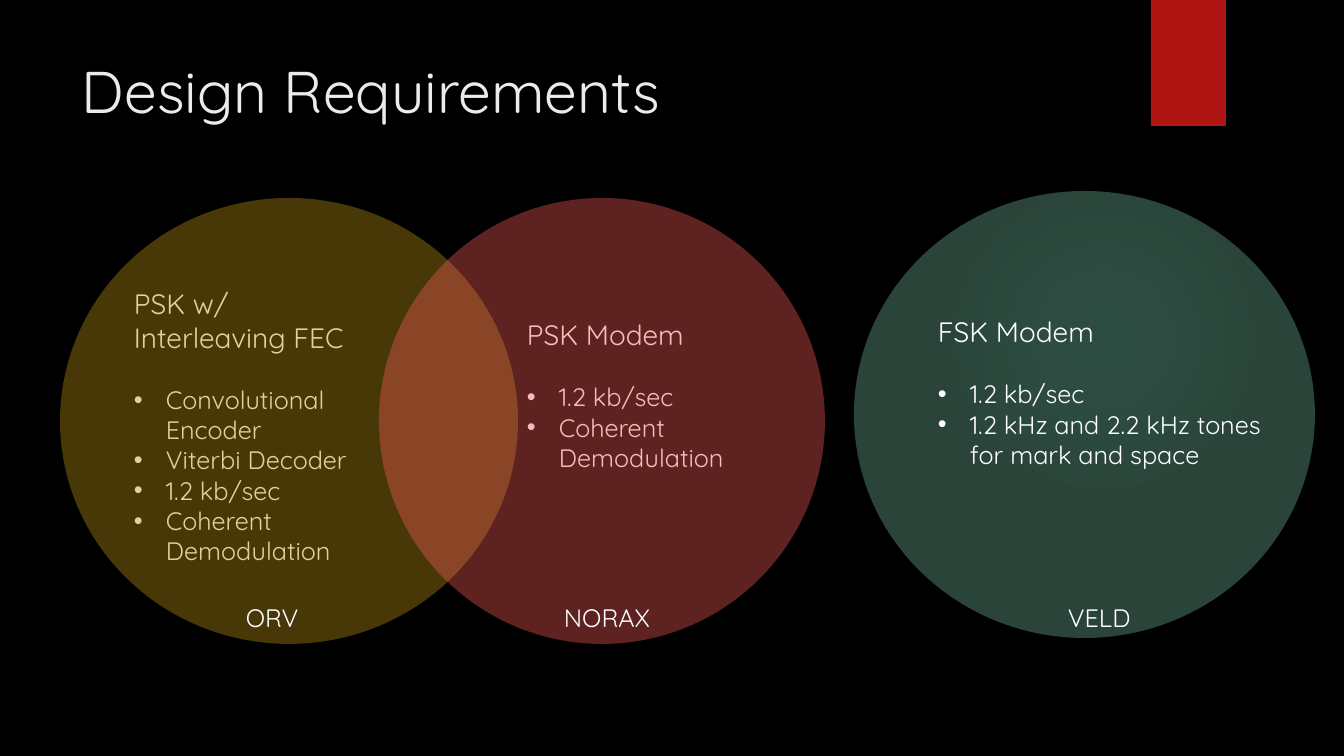
from lxml import etree
from pptx import Presentation, util as u
from pptx.dml.color import RGBColor
from pptx.enum import shapes, text
from pptx.oxml.ns import qn

COLOURS = {
    "black": "000000",
    "white": "FFFFFF",
    "title": "EBEBEB",
    "red": "B01513",
    "glow": "50B9C1",
    "gold": "B68E15",
    "rose": "ED5654",
    "green": "6AAC90",
}
FONT = "Quicksand"
PX = 914400 / 100.8
INDENT = 32


def emu(px):
    return u.Emu(round(px * PX))


def rgb(name):
    return RGBColor.from_string(COLOURS[name])


def add_alpha(colour, percent):
    etree.SubElement(colour, qn("a:alpha")).set("val", str(percent * 1000))


def write(para, words, size=18, colour="white", bullet=False, after=0):
    para.alignment = text.PP_ALIGN.LEFT
    para.space_after = u.Pt(after)
    span = para.add_run()
    span.text = words
    span.font.name = FONT
    span.font.size = u.Pt(size)
    span.font.color.rgb = rgb(colour)
    if bullet:
        props = para._p.get_or_add_pPr()
        props.set("marL", str(emu(INDENT)))
        props.set("indent", str(-emu(INDENT)))
        etree.SubElement(props, qn("a:buFont")).set("typeface", "Arial")
        etree.SubElement(props, qn("a:buChar")).set("char", "•")


class Page:
    def __init__(self, deck):
        self.slide = deck.slides.add_slide(deck.slide_layouts[6])
        fill = self.slide.background.fill
        fill.solid()
        fill.fore_color.rgb = rgb("black")

    def shape(self, kind, area, colour, opacity=100):
        shape = self.slide.shapes.add_shape(kind, *map(emu, area))
        shape.shadow.inherit = False
        shape.line.fill.background()
        shape.fill.solid()
        shape.fill.fore_color.rgb = rgb(colour)
        if opacity < 100:
            add_alpha(shape._element.spPr.find(".//" + qn("a:srgbClr")), opacity)
        return shape

    def circle(self, area, colour, opacity=40):
        return self.shape(shapes.MSO_SHAPE.OVAL, area, colour, opacity)

    def glow(self, area, stops):
        """Add a circle that fades outwards; stops are (position, opacity) in percent."""
        props = self.circle(area, "glow")._element.spPr
        gradient = etree.Element(qn("a:gradFill"))
        stop_list = etree.SubElement(gradient, qn("a:gsLst"))
        for position, opacity in stops:
            stop = etree.SubElement(stop_list, qn("a:gs"), pos=str(position * 1000))
            colour = etree.SubElement(stop, qn("a:srgbClr"), val=COLOURS["glow"])
            add_alpha(colour, opacity)
        route = etree.SubElement(gradient, qn("a:path"), {"path": "circle"})
        centre = dict.fromkeys("ltrb", "50000")
        etree.SubElement(route, qn("a:fillToRect"), centre)
        props.replace(props.find(qn("a:solidFill")), gradient)

    def text(self, area, words, **style):
        box = self.slide.shapes.add_textbox(*map(emu, area))
        box.text_frame.word_wrap = True
        write(box.text_frame.paragraphs[0], words, **style)
        return box.text_frame

    def modem(self, area, heading, items):
        frame = self.text(area, heading, size=20, after=21.5)
        for item in items:
            write(frame.add_paragraph(), item, bullet=True)


def main():
    deck = Presentation()
    deck.slide_width, deck.slide_height = emu(1344), emu(756)
    page = Page(deck)

    page.glow((949, 184, 310, 310), [(0, 7), (36, 6), (69, 0)])
    page.shape(shapes.MSO_SHAPE.RECTANGLE, (1151, 0, 75, 126), "red")
    page.circle((854, 191, 461, 447), "green")
    page.text((72, 50, 1037, 154), "Design Requirements", size=42, colour="title")

    page.modem((928, 310, 359, 228), "FSK Modem",
               ["1.2 kb/sec", "1.2 kHz and 2.2 kHz tones for mark and space"])
    page.modem((517, 313, 250, 166), "PSK Modem",
               ["1.2 kb/sec", "Coherent Demodulation"])
    page.modem((124, 282, 255, 291), "PSK w/ Interleaving FEC",
               ["Convolutional Encoder", "Viterbi Decoder", "1.2 kb/sec",
                "Coherent Demodulation"])

    # The overlapping circles lie over their text and tint it.
    page.circle((60, 198, 458, 446), "gold")
    page.circle((379, 198, 446, 446), "rose")

    for left, name in [(236, "ORV"), (1058, "VELD"), (554, "NORAX")]:
        page.text((left, 597, 207, 40), name)

    deck.save("out.pptx")


if __name__ == "__main__":
    main()
